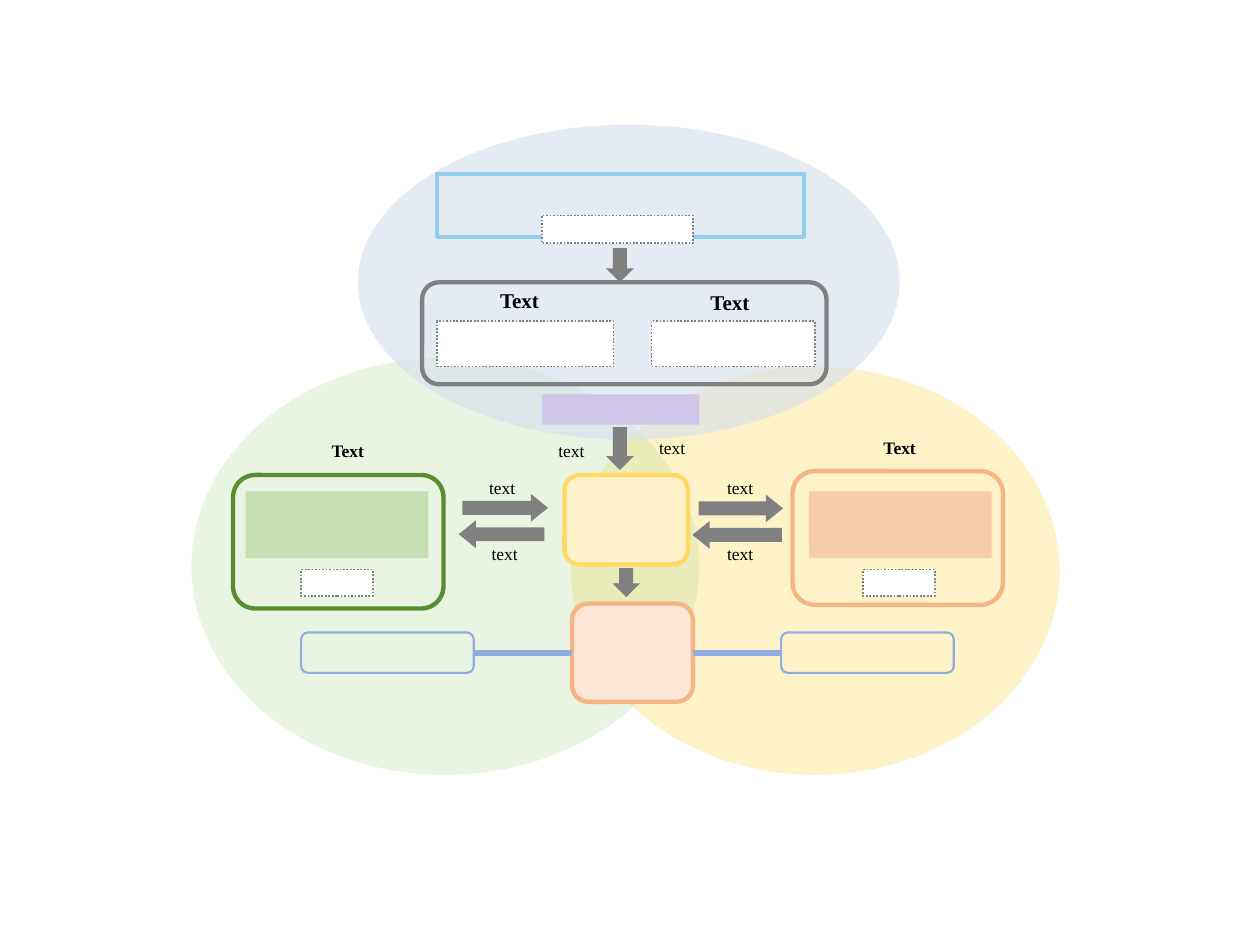
from lxml import etree
from pptx import Presentation
from pptx.dml.color import RGBColor
from pptx.enum.dml import MSO_LINE
from pptx.enum.shapes import MSO_CONNECTOR, MSO_SHAPE
from pptx.enum.text import MSO_AUTO_SIZE, PP_ALIGN
from pptx.oxml.ns import qn
from pptx.util import Inches, Pt

ELLIPSE, RECTANGLE = MSO_SHAPE.OVAL, MSO_SHAPE.RECTANGLE
ROUNDED, DOWN_ARROW = MSO_SHAPE.ROUNDED_RECTANGLE, MSO_SHAPE.DOWN_ARROW
STRAIGHT, DOTTED = MSO_CONNECTOR.STRAIGHT, MSO_LINE.ROUND_DOT
CENTER, LEFT, GROW = PP_ALIGN.CENTER, PP_ALIGN.LEFT, MSO_AUTO_SIZE.SHAPE_TO_FIT_TEXT
LEFT_SIDE, RIGHT_SIDE = 1, 3

FONT = "Times New Roman"
GRAY, WHITE, BLACK = "808080", "FFFFFF", "000000"
GREEN, ORANGE, BLUE = "588E31", "F5B482", "91ACE0"
COLUMNS, ROWS = 100, 75


def color(hex_text):
    return RGBColor.from_string(hex_text)


class Diagram:
    """Draws on one slide; lengths are columns and rows of a 100 by 75 grid."""

    def __init__(self, presentation):
        self.slide = presentation.slides.add_slide(presentation.slide_layouts[6])
        self.column = presentation.slide_width / COLUMNS
        self.row = presentation.slide_height / ROWS

    def place(self, left, top, width, height):
        return (round(left * self.column), round(top * self.row),
                round(width * self.column), round(height * self.row))

    def shape(self, kind, box, fill=None, line=None, weight=2.5, opacity=None):
        shape = self.slide.shapes.add_shape(kind, *self.place(*box))
        shape.shadow.inherit = False
        if fill:
            shape.fill.solid()
            shape.fill.fore_color.rgb = color(fill)
        else:
            shape.fill.background()
        if opacity:
            tint = shape.fill._xPr.find(".//" + qn("a:srgbClr"))
            etree.SubElement(tint, qn("a:alpha")).set("val", str(opacity * 1000))
        if line:
            shape.line.color.rgb = color(line)
            shape.line.width = Pt(weight)
        else:
            shape.line.fill.background()
        return shape

    def dotted_box(self, *box):
        shape = self.shape(RECTANGLE, box, WHITE, GRAY, 1)
        shape.line.dash_style = DOTTED

    def down_arrow(self, *box):
        return self.shape(DOWN_ARROW, box, GRAY)

    def side_arrow(self, left, top, thickness, length, rotation):
        arrow = self.down_arrow(left, top, thickness, length)
        arrow.adjustments[1] = 0.62
        arrow.rotation = rotation

    def connector(self, start, end):
        line = self.slide.shapes.add_connector(STRAIGHT, 0, 0, 0, 0)
        line.begin_connect(start, LEFT_SIDE)
        line.end_connect(end, RIGHT_SIDE)
        line.line.color.rgb = color(BLUE)
        line.line.width = Pt(3.5)
        etree.SubElement(line._element.spPr, qn("a:effectLst"))

    def label(self, text, box, size=10, bold=False, align=CENTER):
        frame = self.slide.shapes.add_textbox(*self.place(*box)).text_frame
        frame.word_wrap = True
        frame.auto_size = GROW
        paragraph = frame.paragraphs[0]
        paragraph.alignment = align
        run = paragraph.add_run()
        run.text = text
        run.font.name, run.font.size, run.font.bold = FONT, Pt(size), bold
        run.font.color.rgb = color(BLACK)


def main():
    presentation = Presentation()
    presentation.slide_width, presentation.slide_height = Inches(10), Inches(7.5)
    diagram = Diagram(presentation)

    # Three overlapping ellipses
    for box, fill, opacity in [((45.3, 29.1, 38.8, 32.4), "FEE695", 51),
                               ((15.2, 28.4, 40.3, 33.1), "ACD78E", 25),
                               ((28.4, 9.9, 43, 25), "D6DFEC", 62)]:
        diagram.shape(ELLIPSE, box, fill, opacity=opacity)

    # Outlined frames, top to bottom
    diagram.shape(RECTANGLE, (34.7, 13.8, 29.1, 5), line="94CCED")
    diagram.shape(ROUNDED, (33.5, 22.4, 32.1, 8.1), line=GRAY)
    diagram.shape(ROUNDED, (44.8, 37.7, 9.8, 7.1), "FFF2CA", "FED961")
    diagram.shape(ROUNDED, (62.9, 37.4, 16.7, 10.6), line=ORANGE)
    diagram.shape(ROUNDED, (18.5, 37.7, 16.7, 10.6), line=GREEN)
    outcome = diagram.shape(ROUNDED, (45.4, 47.9, 9.6, 7.8), "FCE6D5", ORANGE)
    right_pill, left_pill = [
        diagram.shape(ROUNDED, (left, 50.2, 13.7, 3.2), line=BLUE, weight=1.25)
        for left in (62, 23.9)]

    # Filled and dotted boxes
    diagram.shape(RECTANGLE, (43, 31.3, 12.5, 2.4), "CFC5E8")
    for left, fill in [(19.5, "C4DFB2"), (64.2, "F7CCAC")]:
        diagram.shape(RECTANGLE, (left, 39, 14.5, 5.3), fill)
    diagram.dotted_box(34.7, 25.5, 14, 3.6)
    diagram.dotted_box(51.7, 25.5, 13, 3.6)
    diagram.dotted_box(43, 17.1, 12, 2.2)
    for left in (23.9, 68.5):
        diagram.dotted_box(left, 45.2, 5.7, 2.1)

    # Arrows down the middle, then to and from the sides
    for left, top, height in [(48.1, 19.7, 2.7), (48.1, 33.9, 3.4), (48.6, 45.1, 2.3)]:
        diagram.down_arrow(left, top, 2.2, height)
    for left, top, length, rotation in [(39, 36.9, 6.8, 270), (57.7, 37, 6.7, 270),
                                        (38.7, 39, 6.8, 90), (57.4, 38.9, 7.1, 90)]:
        diagram.side_arrow(left, top, 2.2, length, rotation)

    # Links between the outcome and its neighbours
    diagram.connector(outcome, left_pill)
    diagram.connector(right_pill, outcome)

    # Arrow labels and headings
    for left, top in [(43, 34.4), (51, 34.2), (37.5, 37.4),
                      (56.4, 37.4), (56.4, 42.6), (37.7, 42.6)]:
        diagram.label("text", (left, top, 4.7, 2.7))
    for left, top in [(38.7, 22.3), (55.4, 22.5)]:
        diagram.label("Text", (left, top, 5.5, 3), 12, True, LEFT)
    for left, top in [(24.9, 34.4), (68.7, 34.2)]:
        diagram.label("Text", (left, top, 5.4, 2.7), bold=True)

    presentation.save("out.pptx")


if __name__ == "__main__":
    main()
